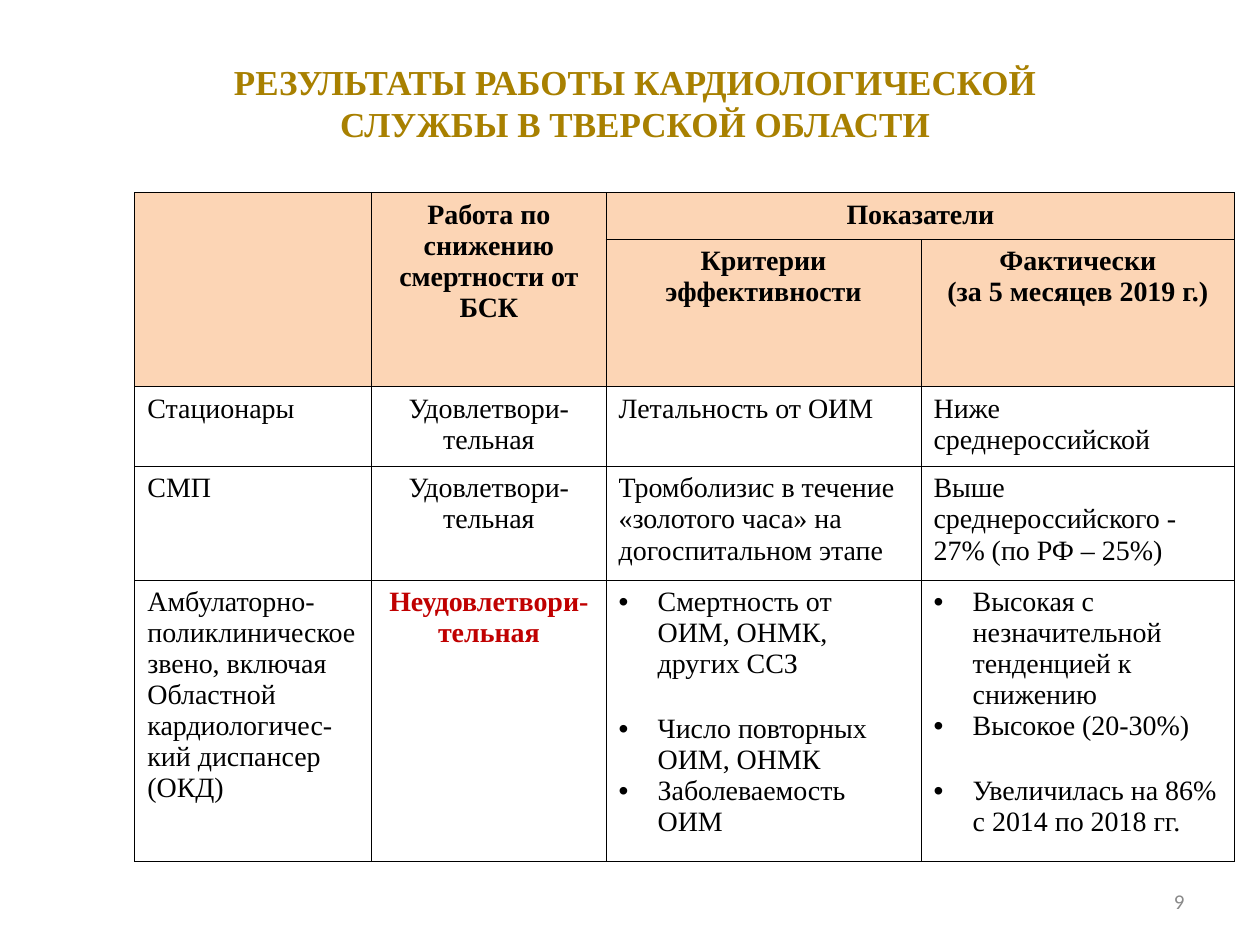
from lxml.etree import SubElement
from pptx import Presentation
from pptx.dml.color import RGBColor
from pptx.enum.text import MSO_ANCHOR as Anchor, PP_ALIGN as Align
from pptx.oxml.ns import qn
from pptx.util import Inches, Pt

SERIF = "Times New Roman"
GOLD, PEACH, WHITE, BLACK, RED, GRAY = (
    "A88000", "FCD5B5", "FFFFFF", "000000", "C00000", "898989")
COLUMNS = [1.88, 1.86, 2.5, 2.49]
ROWS = [0.37, 1.17, 0.63, 0.9, 2.23]
HEADER_ROWS = 2
RATING_COLUMN = 1
GROUP_GAP = 19.5  # points between groups of indicators

CONTENT = [
    ["", "Работа по снижению смертности от БСК", "Показатели", ""],
    ["", "", "Критерии эффективности", ["Фактически", "(за 5 месяцев 2019 г.)"]],
    ["Стационары", "Удовлетвори-тельная", "Летальность от ОИМ",
     "Ниже среднероссийской"],
    ["СМП", "Удовлетвори-тельная",
     "Тромболизис в течение «золотого часа» на догоспитальном этапе",
     "Выше среднероссийского - 27% (по РФ – 25%)"],
    ["Амбулаторно-поликлиническое звено, включая Областной "
     "кардиологичес-кий диспансер (ОКД)",
     "Неудовлетвори-тельная",
     ["Смертность от ОИМ, ОНМК, других ССЗ", "Число повторных ОИМ, ОНМК",
      "Заболеваемость ОИМ"],
     ["Высокая с незначительной тенденцией к снижению", "Высокое (20-30%)",
      "Увеличилась на 86% с 2014 по 2018 гг."]],
]
MERGES = [((0, 0), (1, 0)), ((0, 1), (1, 1)), ((0, 2), (0, 3))]
# Item that opens a new group, by column of the last row
GROUP_STARTS = {2: 1, 3: 2}


def rgb(value):
    return RGBColor.from_string(value)


def add_bullet(paragraph):
    props = paragraph._p.get_or_add_pPr()
    props.set("marL", str(Inches(0.31)))
    props.set("indent", str(-Inches(0.31)))
    SubElement(props, qn("a:buFont")).set("typeface", "Arial")
    SubElement(props, qn("a:buChar")).set("char", "•")


def write(frame, text, size=16, font=SERIF, color=BLACK, bold=False,
          align=Align.LEFT, bullets=False, gap_before=None):
    """Fill a text frame with one paragraph, or one for each item of a list."""
    lines = [text] if isinstance(text, str) else text
    for index, line in enumerate(lines):
        paragraph = frame.add_paragraph() if index else frame.paragraphs[0]
        paragraph.alignment = align
        if index and index == gap_before:
            paragraph.space_before = Pt(GROUP_GAP)
        if bullets:
            add_bullet(paragraph)
        run = paragraph.add_run()
        run.text = line
        run.font.size, run.font.name, run.font.bold = Pt(size), font, bold
        run.font.color.rgb = rgb(color)


def add_label(slide, box, text, anchor=Anchor.TOP, inset=(0.1, 0.05), **style):
    frame = slide.shapes.add_textbox(*map(Inches, box)).text_frame
    frame.word_wrap = True
    frame.vertical_anchor = anchor
    frame.margin_left = frame.margin_right = Inches(inset[0])
    frame.margin_top = frame.margin_bottom = Inches(inset[1])
    write(frame, text, **style)


def outline(cell):
    props = cell._tc.get_or_add_tcPr()
    for index, side in enumerate(("lnL", "lnR", "lnT", "lnB")):
        line = props.makeelement(qn(f"a:{side}"), {"w": str(Pt(0.45))})
        fill = SubElement(line, qn("a:solidFill"))
        SubElement(fill, qn("a:srgbClr")).set("val", BLACK)
        props.insert(index, line)


def cell_style(row, column):
    header, last = row < HEADER_ROWS, row == len(ROWS) - 1
    rating = column == RATING_COLUMN
    poor = last and rating
    return dict(
        bold=header or poor,
        color=RED if poor else BLACK,
        align=Align.CENTER if header or rating else Align.LEFT,
        bullets=last and column in GROUP_STARTS,
        gap_before=GROUP_STARTS.get(column) if last else None)


def add_results_table(slide, left, top):
    box = map(Inches, (left, top, sum(COLUMNS), sum(ROWS)))
    table = slide.shapes.add_table(len(ROWS), len(COLUMNS), *box).table
    table.first_row = table.horz_banding = False
    for column, width in zip(table.columns, COLUMNS):
        column.width = Inches(width)
    for row, height in zip(table.rows, ROWS):
        row.height = Inches(height)
    for start, end in MERGES:
        table.cell(*start).merge(table.cell(*end))
    for row, texts in enumerate(CONTENT):
        for column, text in enumerate(texts):
            cell = table.cell(row, column)
            cell.fill.solid()
            cell.fill.fore_color.rgb = rgb(PEACH if row < HEADER_ROWS else WHITE)
            outline(cell)
            if text:
                write(cell.text_frame, text, **cell_style(row, column))


def main():
    deck = Presentation()
    deck.slide_width, deck.slide_height = Inches(10), Inches(7.5)
    slide = deck.slides.add_slide(deck.slide_layouts[6])
    add_label(slide, (1.38, 0.44, 7.32, 0.68),
              "РЕЗУЛЬТАТЫ РАБОТЫ КАРДИОЛОГИЧЕСКОЙ СЛУЖБЫ В ТВЕРСКОЙ ОБЛАСТИ",
              inset=(0.07, 0.04), size=20, color=GOLD, bold=True,
              align=Align.CENTER)
    add_results_table(slide, 1.07, 1.53)
    add_label(slide, (7.17, 6.95, 2.33, 0.4), "9", anchor=Anchor.MIDDLE,
              size=12, font="Calibri", color=GRAY, align=Align.RIGHT)
    deck.save("out.pptx")


if __name__ == "__main__":
    main()
